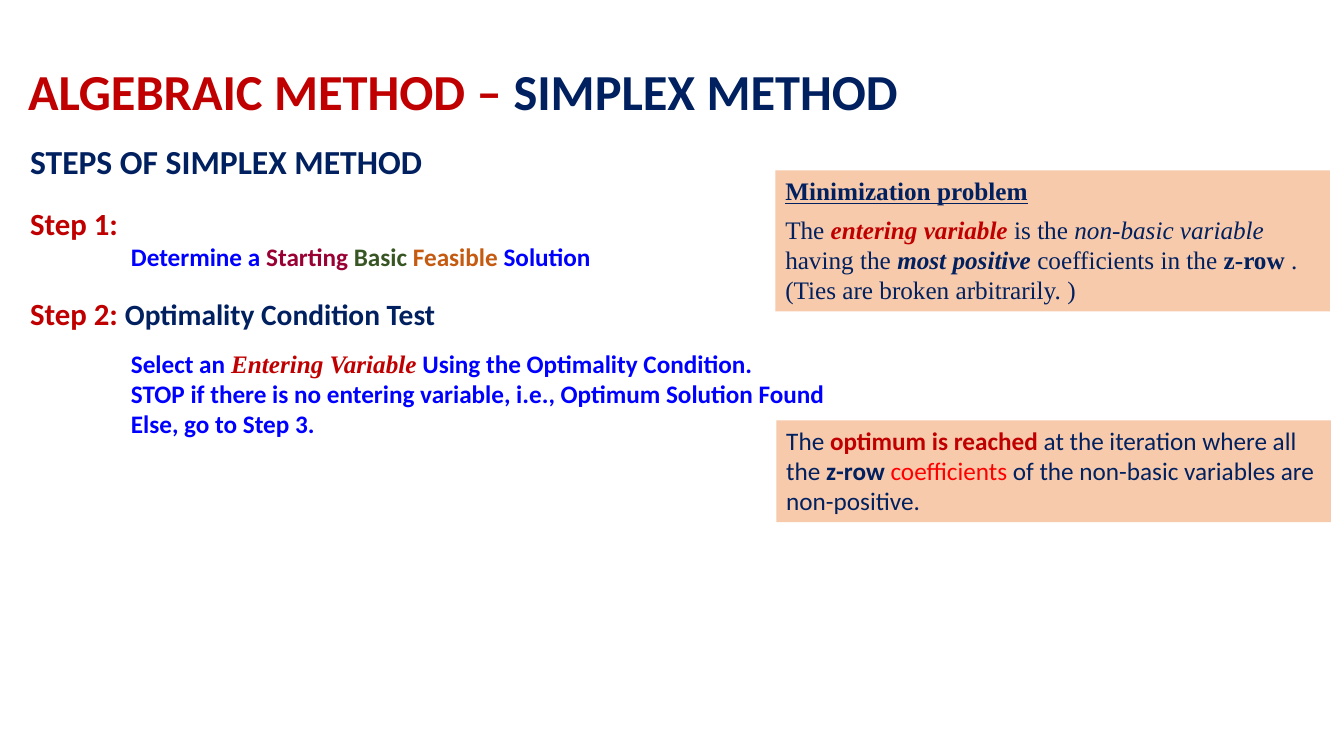
from pptx import Presentation
from pptx.dml.color import RGBColor
from pptx.enum.shapes import MSO_SHAPE
from pptx.enum.text import MSO_ANCHOR, PP_ALIGN
from pptx.util import Pt

PX = 9144  # 100 px to the inch
RECT = MSO_SHAPE.RECTANGLE
TOP, BOTTOM = MSO_ANCHOR.TOP, MSO_ANCHOR.BOTTOM
LEFT = PP_ALIGN.LEFT
SANS, SERIF = "Calibri", "Times New Roman"
STEP_INDENT = 100
COLORS = {
    "navy": "002060",
    "crimson": "C00000",
    "blue": "0000FF",
    "plum": "990033",
    "green": "385623",
    "orange": "C55A11",
    "red": "FF0000",
    "peach": "F7CAAC",
}


def set_font(font, color=None, size=None, **attrs):
    if color:
        font.color.rgb = RGBColor.from_string(COLORS[color])
    if size:
        font.size = Pt(size)
    for name, value in attrs.items():
        setattr(font, name, value)


def fill_text(sp, paragraphs, anchor=TOP):
    """Write (font, layout, runs) paragraphs; each run is (text, font changes)."""
    tf = sp.text_frame
    tf.word_wrap = True
    tf.vertical_anchor = anchor
    for i, (font, layout, runs) in enumerate(paragraphs):
        p = tf.paragraphs[0] if i == 0 else tf.add_paragraph()
        p.alignment = LEFT
        if "indent" in layout:
            p._p.get_or_add_pPr().set("marL", str(layout["indent"] * PX))
        if "before" in layout:
            p.space_before = Pt(layout["before"])
        if "spacing" in layout:
            p.line_spacing = layout["spacing"]
        set_font(p.font, **font)
        for text, changes in runs:
            r = p.add_run()
            r.text = text
            set_font(r.font, **changes)


prs = Presentation()
prs.slide_width, prs.slide_height = 1333 * PX, 750 * PX
s = prs.slides.add_slide(prs.slide_layouts[6])

title = dict(name=SANS, size=36, bold=True)
heading = dict(name=SANS, size=24, bold=True, color="navy")
step = dict(name=SANS, bold=True)
action = dict(name=SANS, size=18, bold=True)
blue_action = dict(action, color="blue")
rule = dict(name=SERIF, size=18, color="navy")
stop_rule = dict(name=SANS, size=18)
indented = {"indent": STEP_INDENT}
step_label = dict(color="crimson", size=22)

text_boxes = [
    ((18, 55, 1117, 70), BOTTOM, [
        (title, {"spacing": 0.9}, [
            ("ALGEBRAIC METHOD – ", dict(color="crimson")),
            ("SIMPLEX METHOD", dict(color="navy")),
        ]),
    ]),
    ((20, 135, 1271, 50), TOP, [
        (heading, {}, [("STEPS OF SIMPLEX METHOD", {})]),
    ]),
    ((20, 198, 613, 77), TOP, [
        (step, {}, [("Step 1:", step_label)]),
        (action, indented, [
            ("Determine a ", dict(color="blue")),
            ("Starting ", dict(color="plum")),
            ("Basic ", dict(color="green")),
            ("Feasible", dict(color="orange")),
            (" Solution", dict(color="blue")),
        ]),
    ]),
    ((20, 287, 819, 185), TOP, [
        (step, {}, [
            ("Step 2: ", step_label),
            ("Optimality Condition Test", dict(color="navy", size=21)),
        ]),
        (action, dict(indented, before=12), [
            ("Select an ", dict(color="blue")),
            ("Entering Variable", dict(color="crimson", name=SERIF, italic=True)),
            (" Using the Optimality Condition.", dict(color="blue")),
        ]),
        (blue_action, indented, [
            ("STOP if there is no entering variable, i.e., Optimum Solution Found", {}),
        ]),
        (blue_action, indented, [("Else, go to Step 3.", {})]),
    ]),
]
for box, anchor, paragraphs in text_boxes:
    sp = s.shapes.add_textbox(*(v * PX for v in box))
    fill_text(sp, paragraphs, anchor)

panels = [
    ((769, 169, 550, 140), [
        (dict(rule, bold=True, underline=True), {}, [("Minimization problem", {})]),
        (dict(name=SERIF, size=18), {"before": 6}, [
            ("The ", dict(color="navy")),
            ("entering variable", dict(color="crimson", bold=True, italic=True)),
            (" is the ", dict(color="navy")),
            ("non-basic variable ", dict(color="navy", italic=True)),
            ("having the ", dict(color="navy")),
            ("most positive ", dict(color="navy", bold=True, italic=True)),
            ("coefficients in the ", dict(color="navy")),
            ("z-row", dict(color="navy", bold=True)),
            (" .", dict(color="navy")),
        ]),
        (rule, {}, [("(Ties are broken arbitrarily. )", {})]),
    ]),
    ((770, 417, 550, 101), [
        (stop_rule, {}, [
            ("The ", dict(color="navy")),
            ("optimum is reached", dict(color="crimson", bold=True)),
            (" at the iteration where all the ", dict(color="navy")),
            ("z-row ", dict(color="navy", bold=True)),
            ("coefficients", dict(color="red")),
            (" of the non-basic variables are non-positive.", dict(color="navy")),
        ]),
    ]),
]
for box, paragraphs in panels:
    sp = s.shapes.add_shape(RECT, *(v * PX for v in box))
    sp.shadow.inherit = False
    sp.fill.solid()
    sp.fill.fore_color.rgb = RGBColor.from_string(COLORS["peach"])
    sp.line.fill.background()
    fill_text(sp, paragraphs)

prs.save("out.pptx")
